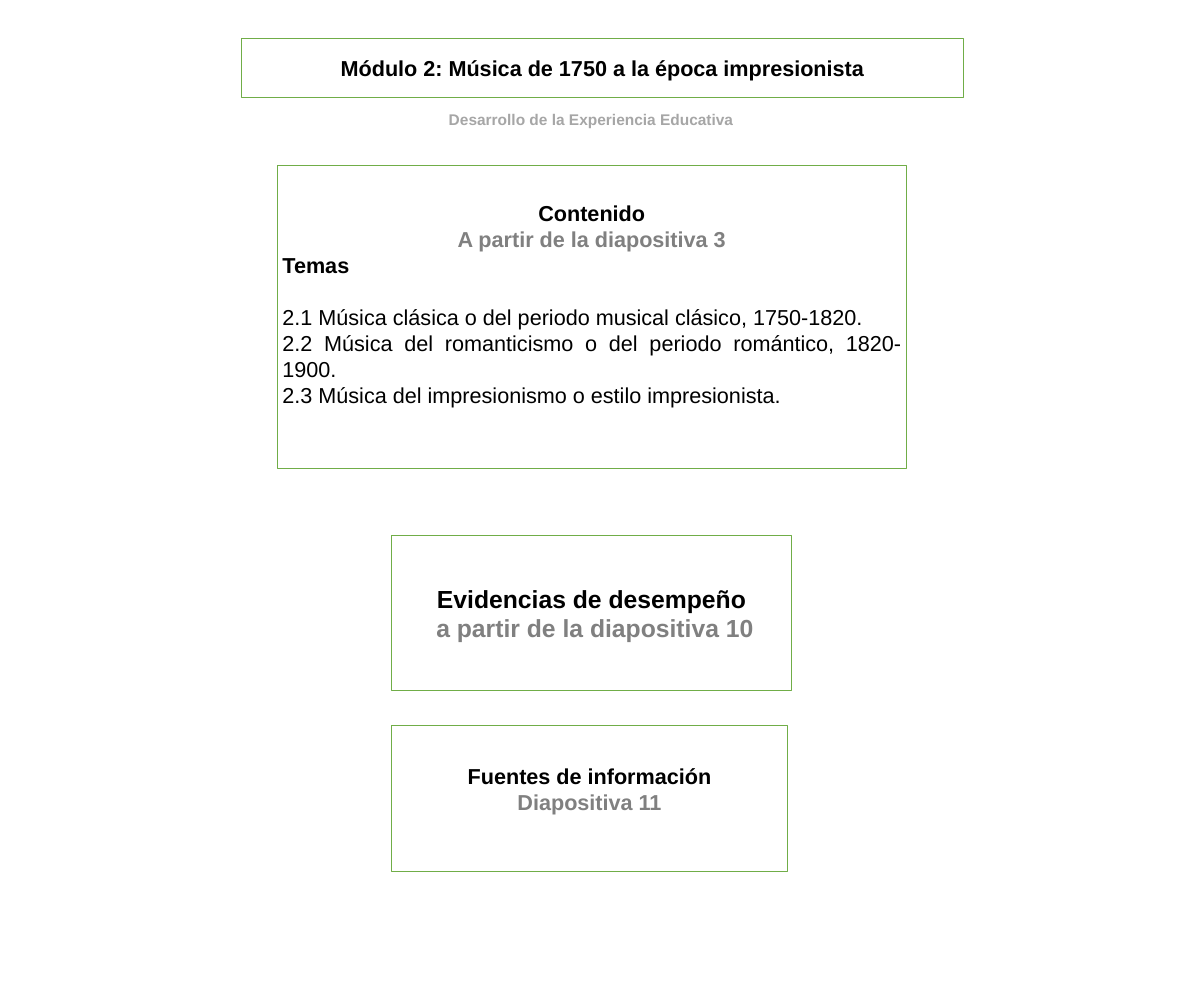
"""Build the overview slide of a music history module."""
from dataclasses import dataclass

from pptx import Presentation
from pptx import util as u
from pptx.dml.color import RGBColor
from pptx.enum import shapes, text
from pptx.slide import Slide
from pptx.text.text import TextFrame

CENTER = text.PP_ALIGN.CENTER
LEFT = text.PP_ALIGN.LEFT
JUSTIFY = text.PP_ALIGN.JUSTIFY


@dataclass(frozen=True)
class Theme:
    font: str = "Arial"
    black: str = "000000"
    gray: str = "808080"
    light_gray: str = "A6A6A6"
    white: str = "FFFFFF"
    green: str = "70AD47"
    small: float = 20
    body: float = 28
    large: float = 32
    border: float = 1
    topic_gap: float = 33.6


THEME = Theme()


@dataclass(frozen=True)
class Line:
    text: str
    color: str = THEME.black
    size: float = THEME.body
    bold: bool = True
    align: text.PP_ALIGN = CENTER
    before: float = 0


@dataclass(frozen=True)
class Panel:
    left: float
    top: float
    width: float
    height: float
    lines: tuple[Line, ...]
    bottom_inset: float = 0.05
    framed: bool = True


def topic(wording: str, before: float = 0) -> Line:
    """Return a justified regular-weight topic line."""
    return Line(wording, bold=False, align=JUSTIFY, before=before)


PANELS = (
    Panel(4.34, 0.69, 12.98, 1.07, (
        Line("Módulo 2: Música de 1750 a la época impresionista"),
    )),
    Panel(4.98, 2.97, 11.32, 5.46, (
        Line("Contenido"),
        Line("A partir de la diapositiva 3", THEME.gray),
        Line("Temas", align=LEFT),
        topic("2.1 Música clásica o del periodo musical clásico, 1750-1820.", THEME.topic_gap),
        topic("2.2 Música del romanticismo o del periodo romántico, 1820-1900."),
        topic("2.3 Música del impresionismo o estilo impresionista."),
    ), bottom_inset=0.52),
    Panel(7.04, 13.05, 7.12, 2.63, (
        Line("Fuentes de información"),
        Line("Diapositiva 11", THEME.gray),
    ), bottom_inset=0.41),
    Panel(7.04, 9.64, 7.2, 2.78, (
        Line("Evidencias de desempeño", size=THEME.large),
        Line(" a partir de la diapositiva 10", THEME.gray, THEME.large),
    )),
    Panel(7.26, 1.9, 6.74, 0.5, (
        Line("Desarrollo de la Experiencia Educativa", THEME.light_gray, THEME.small),
    ), framed=False),
)


def write_lines(tf: TextFrame, lines: tuple[Line, ...]) -> None:
    """Write the lines as formatted paragraphs."""
    tf.text = "\n".join(line.text for line in lines)
    for p, line in zip(tf.paragraphs, lines):
        p.alignment = line.align
        p.space_before = u.Pt(line.before)
        for r in p.runs:
            r.font.name = THEME.font
            r.font.size = u.Pt(line.size)
            r.font.bold = line.bold
            r.font.color.rgb = RGBColor.from_string(line.color)


def draw_panel(s: Slide, panel: Panel) -> None:
    """Draw a framed box or a plain text box with its lines."""
    box = [u.Inches(n) for n in (panel.left, panel.top, panel.width, panel.height)]
    if panel.framed:
        sp = s.shapes.add_shape(shapes.MSO_SHAPE.RECTANGLE, *box)
        sp.shadow.inherit = False
        sp.fill.solid()
        sp.fill.fore_color.rgb = RGBColor.from_string(THEME.white)
        sp.line.color.rgb = RGBColor.from_string(THEME.green)
        sp.line.width = u.Pt(THEME.border)
    else:
        sp = s.shapes.add_textbox(*box)
    tf = sp.text_frame
    tf.word_wrap = True
    tf.vertical_anchor = text.MSO_ANCHOR.MIDDLE
    tf.margin_bottom = u.Inches(panel.bottom_inset)
    write_lines(tf, panel.lines)


def main() -> None:
    """Build and save the slide."""
    prs = Presentation()
    prs.slide_width = u.Inches(21.65)
    prs.slide_height = u.Inches(17.72)
    s = prs.slides.add_slide(prs.slide_layouts[6])
    for panel in PANELS:
        draw_panel(s, panel)
    prs.save("out.pptx")


if __name__ == "__main__":
    main()
